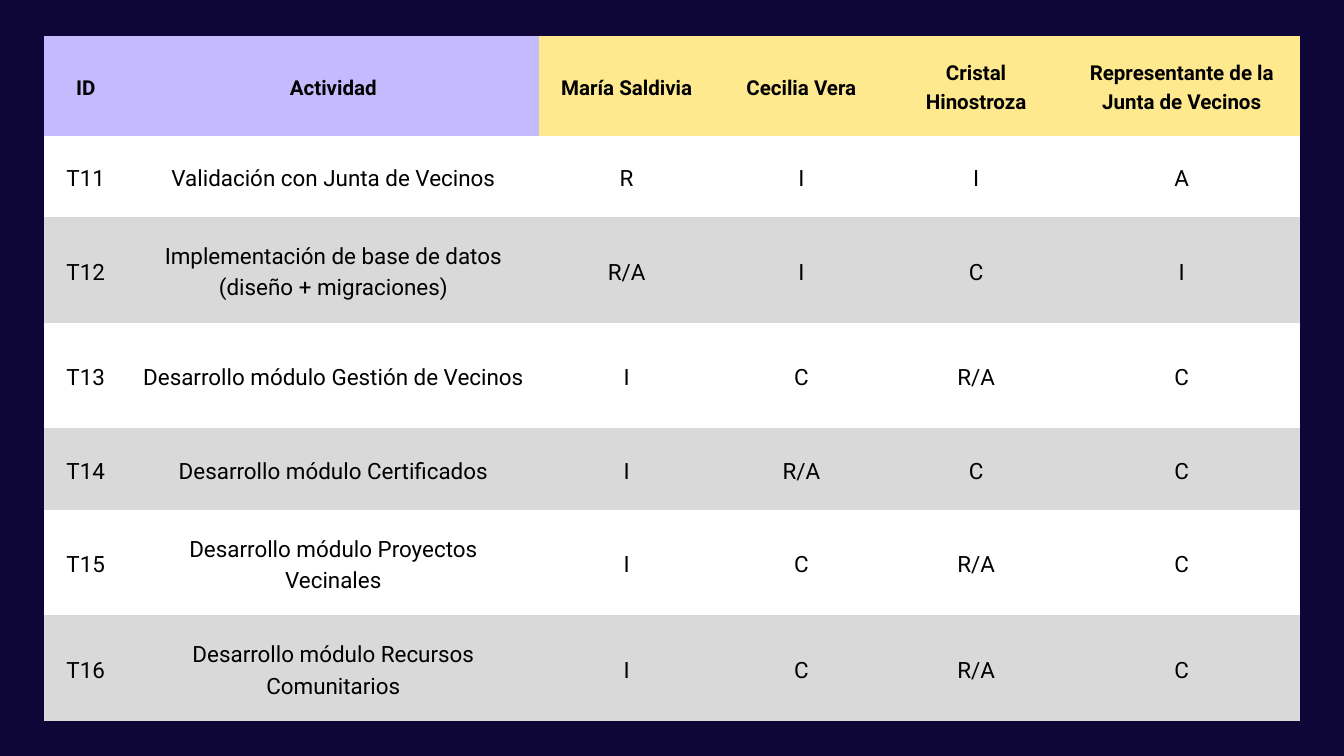
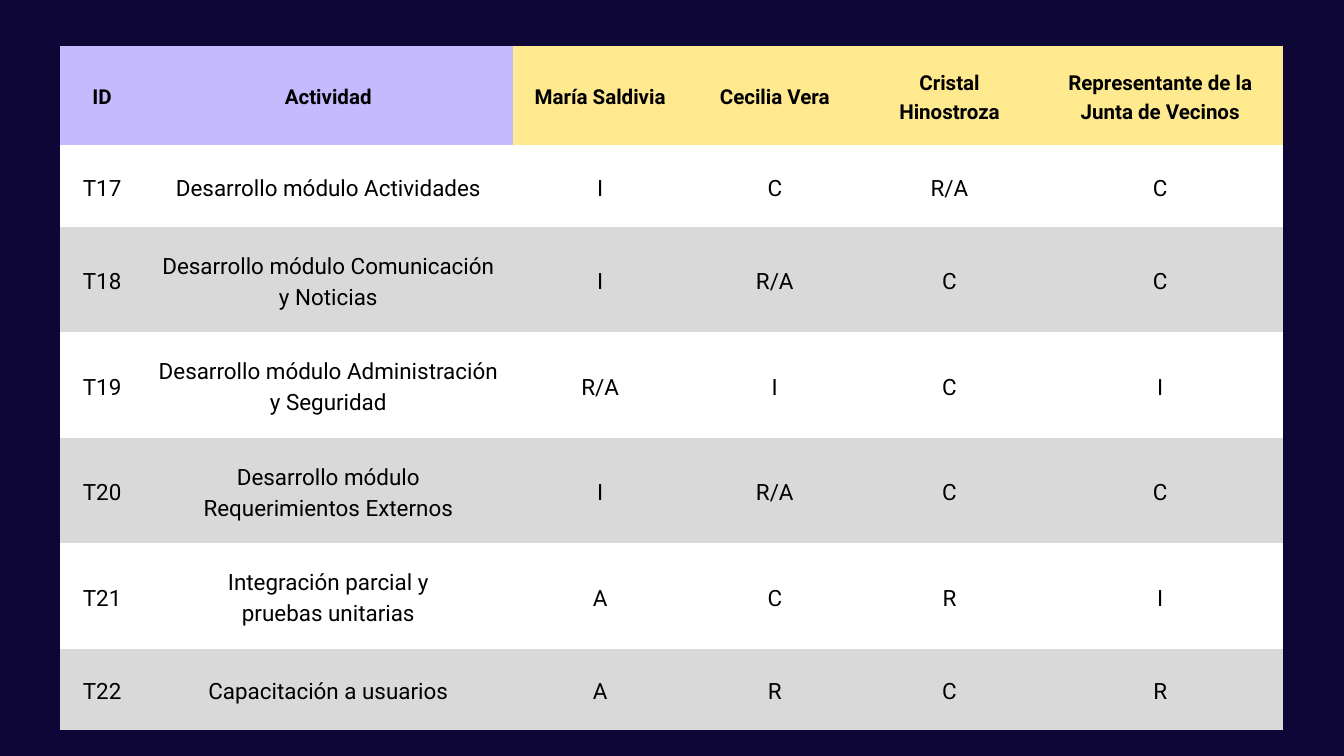
from lxml import etree
from pptx import Presentation
from pptx.dml.color import RGBColor
from pptx.enum.text import MSO_ANCHOR, PP_ALIGN
from pptx.oxml.ns import qn
from pptx.util import Inches, Pt

MIDDLE = MSO_ANCHOR.MIDDLE
CENTER = PP_ALIGN.CENTER

NAVY = RGBColor(0x0E, 0x06, 0x37)
LILAC = RGBColor(0xC6, 0xBA, 0xFF)
YELLOW = RGBColor(0xFF, 0xE9, 0x8F)
WHITE = RGBColor(0xFF, 0xFF, 0xFF)
GRAY = RGBColor(0xD9, 0xD9, 0xD9)
BLACK = RGBColor(0, 0, 0)

FONT = "Roboto"
COLS, ROWS = 80, 45
INSET = Inches(0.21)
LEADING = 1.4
ID_COL, NAME_COL = 4.96, 10.4
HEAD_ROW, LOW_ROW, TALL_ROW = 5.92, 4.86, 6.28
LONG = 32

HEAD = ["ID", "Actividad", "María Saldivia", "Cecilia Vera",
        "Cristal Hinostroza", "Representante de la Junta de Vecinos"]

BUILD = [
    ("Validación con Junta de Vecinos", "R I I A"),
    ("Implementación de base de datos (diseño + migraciones)", "R/A I C I"),
    ("Desarrollo módulo Gestión de Vecinos", "I C R/A C"),
    ("Desarrollo módulo Certificados", "I R/A C C"),
    ("Desarrollo módulo Proyectos Vecinales", "I C R/A C"),
    ("Desarrollo módulo Recursos Comunitarios", "I C R/A C"),
]
CLOSE = [
    ("Desarrollo módulo Actividades", "I C R/A C"),
    ("Desarrollo módulo Comunicación y Noticias", "I R/A C C"),
    ("Desarrollo módulo Administración y Seguridad", "R/A I C I"),
    ("Desarrollo módulo Requerimientos Externos", "I R/A C C"),
    ("Integración parcial y\npruebas unitarias", "A C R I"),
    ("Capacitación a usuarios", "A R C R"),
]


def write(frame, text, size=24, bold=False, color=BLACK, align=CENTER):
    frame.text = text
    for para in frame.paragraphs:
        para.alignment = align
        para.line_spacing = Pt(size * LEADING)
        for run in para.runs:
            font = run.font
            font.name, font.size, font.bold = FONT, Pt(size), bold
            font.color.rgb = color


class Deck:
    def __init__(self):
        self.file = Presentation()
        self.file.slide_width = Inches(20)
        self.file.slide_height = Inches(11.25)
        self.slide = None

    def x(self, cols):
        return round(self.file.slide_width * cols / COLS)

    def y(self, rows):
        return round(self.file.slide_height * rows / ROWS)

    def page(self):
        self.slide = self.file.slides.add_slide(self.file.slide_layouts[6])
        fill = self.slide.background.fill
        fill.solid()
        fill.fore_color.rgb = NAVY

    def cell(self, cell, text, fill, **style):
        cell.margin_left = cell.margin_right = INSET
        cell.margin_top = cell.margin_bottom = INSET
        cell.vertical_anchor = MIDDLE
        cell.fill.solid()
        cell.fill.fore_color.rgb = fill
        props = cell._tc.get_or_add_tcPr()
        for place, side in enumerate("LRTB"):
            line = etree.Element(qn(f"a:ln{side}"), w="0")
            etree.SubElement(line, qn("a:noFill"))
            props.insert(place, line)
        write(cell.text_frame, text, **style)

    def matrix(self, first, tasks, top, task_col, last_col):
        widths = [ID_COL, task_col] + [NAME_COL] * 3 + [last_col]
        heights = [HEAD_ROW] + [
            TALL_ROW if len(task) > LONG else LOW_ROW for task, _ in tasks]
        wide = sum(widths)
        table = self.slide.shapes.add_table(
            len(heights), len(widths), self.x((COLS - wide) / 2), self.y(top),
            self.x(wide), self.y(sum(heights))).table
        table.horz_banding = False
        for col, width in zip(table.columns, widths):
            col.width = self.x(width)
        for row, height in zip(table.rows, heights):
            row.height = self.y(height)
        for c, text in enumerate(HEAD):
            self.cell(table.cell(0, c), text, LILAC if c < 2 else YELLOW,
                      size=22, bold=True)
        for r, (task, roles) in enumerate(tasks, 1):
            fill = WHITE if r % 2 else GRAY
            for c, text in enumerate([f"T{first + r - 1}", task, *roles.split()]):
                self.cell(table.cell(r, c), text, fill)


def main():
    deck = Deck()
    deck.page()
    deck.matrix(11, BUILD, top=2.16, task_col=24.52, last_col=14.08)
    deck.page()
    deck.matrix(17, CLOSE, top=2.72, task_col=21.96, last_col=14.68)
    deck.file.save("out.pptx")


if __name__ == "__main__":
    main()
